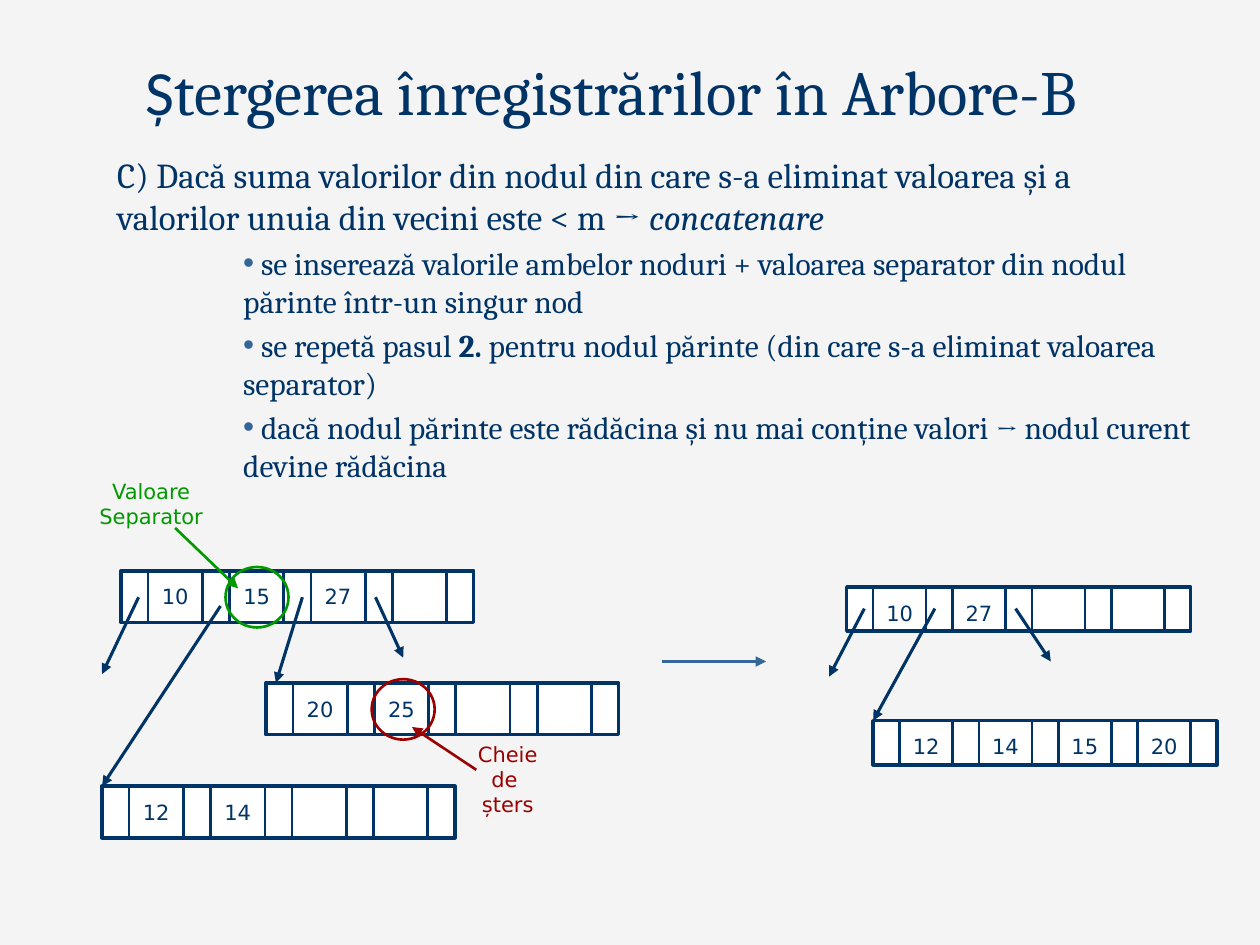
from dataclasses import dataclass, field
from typing import Optional

from lxml import etree
from pptx import Presentation
from pptx.dml.color import RGBColor
from pptx.enum.shapes import MSO_CONNECTOR, MSO_SHAPE
from pptx.enum.text import MSO_ANCHOR, MSO_AUTO_SIZE, PP_ALIGN
from pptx.oxml.ns import qn
from pptx.util import Inches, Pt

RECTANGLE, ELLIPSE = MSO_SHAPE.RECTANGLE, MSO_SHAPE.OVAL
STRAIGHT = MSO_CONNECTOR.STRAIGHT
CENTER = PP_ALIGN.CENTER
TOP, MIDDLE, BOTTOM = MSO_ANCHOR.TOP, MSO_ANCHOR.MIDDLE, MSO_ANCHOR.BOTTOM
NO_FIT = MSO_AUTO_SIZE.NONE

NAVY = RGBColor(0x00, 0x33, 0x66)
BLUE = RGBColor(0x33, 0x66, 0x99)
RED = RGBColor(0x9A, 0x00, 0x00)
GREEN = RGBColor(0x00, 0x99, 0x00)
WHITE = RGBColor(0xFF, 0xFF, 0xFF)
BACKGROUND = RGBColor(0xF4, 0xF4, 0xF4)

SLIDE_WIDTH, SLIDE_HEIGHT = Inches(10), Inches(7.5)
COLUMN, ROW = SLIDE_WIDTH / 100, SLIDE_HEIGHT / 75
NODE_UNITS = 13
KEY_STARTS = (1, 4, 7, 10)
SERIF, SANS = "Cambria", "DejaVu Sans"


@dataclass(frozen=True)
class Node:
    """A tree node: position, size and keys."""
    left: float
    top: float
    width: float
    height: float
    keys: tuple


@dataclass(frozen=True)
class Arrow:
    """An arrow between two grid points."""
    start: tuple
    end: tuple
    color: RGBColor = NAVY
    weight: float = 1.75


@dataclass(frozen=True)
class Callout:
    """A coloured label with the ring it explains."""
    text: str
    box: tuple
    ring: tuple
    color: RGBColor


@dataclass(frozen=True)
class Line:
    """A body paragraph: runs of text with their own format values."""
    runs: tuple
    size: int = 18
    level: int = 3
    margin: float = 1.5
    space: float = 3.6
    bullet: Optional[str] = "•"
    format: dict = field(default_factory=dict)


TITLE_RUNS = (("Ș", {"name": "Calibri"}), ("tergerea înregistrărilor în Arbore-B", {}))
BODY = (
    Line((("C) Dacă suma valorilor din nodul din care s-a eliminat valoarea și a "
           "valorilor unuia din vecini este < m → ", {}), ("concatenare", {"italic": True})),
         size=20, level=1, margin=0.5, space=0, bullet=None),
    Line(((" se inserează valorile ambelor noduri + valoarea separator din nodul "
           "părinte într-un singur nod", {}),)),
    Line(((" se repetă pasul ", {}), ("2.", {"bold": True}),
          (" pentru nodul părinte (din care s-a eliminat valoarea separator)", {}))),
    Line(((" dacă nodul părinte este rădăcina și nu mai conține valori ", {}),
          ("→", {"size": Pt(16)}), (" nodul curent devine rădăcina", {}))),
)
NODES = (
    Node(9.6, 45.3, 28, 4.1, ("10", "15", "27")),
    Node(8.1, 62.4, 28, 4.1, ("12", "14")),
    Node(21.1, 54.2, 28, 4.1, ("20", "25")),
    Node(67.2, 46.6, 27.3, 3.5, ("10", "27")),
    Node(69.3, 57.2, 27.3, 3.5, ("12", "14", "15", "20")),
)
ARROWS = (
    Arrow((11, 47.4), (8.1, 53.5)),
    Arrow((17.5, 48.1), (8.1, 62.4)),
    Arrow((24, 47.4), (21.9, 54.2)),
    Arrow((29.8, 47.4), (32, 52.2)),
    Arrow((68.6, 48.3), (65.8, 53.7)),
    Arrow((74.2, 48.3), (69.3, 57.2)),
    Arrow((80.6, 48.3), (83.4, 52.5)),
    Arrow((52.5, 52.5), (60.8, 52.5), BLUE, 1.5),
    Arrow((37.8, 61.1), (32.7, 57.7), RED, 1.5),
    Arrow((13.9, 41.9), (18.9, 46.7), GREEN, 1.5),
)
CALLOUTS = (
    Callout("Cheie\vde \vșters", (35.6, 58.3, 9.4, 7.1), (29.5, 53.9, 5, 4.8), RED),
    Callout("Valoare\vSeparator", (5.8, 37.4, 12.4, 5.1), (17.9, 45, 5, 4.8), GREEN),
)


def apply(target, values: dict) -> None:
    """Set every attribute named in values."""
    for name, value in values.items():
        setattr(target, name, value)


def grid(left: float, top: float, width: float, height: float) -> tuple:
    """Turn a grid box or a pair of grid points into lengths."""
    return tuple(round(n * step) for n, step in
                 zip((left, top, width, height), (COLUMN, ROW, COLUMN, ROW)))


def place(shape, *box: float) -> None:
    """Move and size a shape on the grid."""
    apply(shape, dict(zip(("left", "top", "width", "height"), grid(*box))))


def add_runs(paragraph, runs: tuple, size: float, color: RGBColor = NAVY, font: str = SERIF) -> None:
    """Add formatted runs to a paragraph."""
    for text, values in runs:
        run = paragraph.add_run()
        run.text = text
        apply(run.font, {"name": font, "size": Pt(size), **values})
        run.font.color.rgb = color


def add_label(shapes, text: str, box: tuple, color: RGBColor = NAVY) -> None:
    """Draw a small centred label, with line breaks at vertical tabs."""
    frame = shapes.add_textbox(*grid(*box)).text_frame
    apply(frame, {"word_wrap": True, "vertical_anchor": MIDDLE, "margin_left": 0, "margin_right": 0})
    paragraph = frame.paragraphs[0]
    paragraph.alignment = CENTER
    for index, part in enumerate(text.split("\v")):
        if index:
            paragraph.add_line_break()
        add_runs(paragraph, ((part, {}),), 12, color, SANS)


def add_outline(shapes, kind, box: tuple, color: RGBColor, weight: float):
    """Draw an unfilled preset shape with a coloured line."""
    shape = shapes.add_shape(kind, *grid(*box))
    shape.shadow.inherit = False
    shape.fill.background()
    shape.line.color.rgb = color
    shape.line.width = Pt(weight)
    return shape


def add_line(shapes, line: Arrow, head: bool = True) -> None:
    """Draw a straight line, with an arrowhead if wanted."""
    connector = shapes.add_connector(STRAIGHT, *grid(*line.start, *line.end))
    connector.line.color.rgb = line.color
    connector.line.width = Pt(line.weight)
    properties = connector.element.spPr
    if head:
        etree.SubElement(properties.find(qn("a:ln")), qn("a:tailEnd"), type="triangle")
    etree.SubElement(properties, qn("a:effectLst"))


def add_node(slide, node: Node) -> None:
    """Draw a node as a group of narrow pointer cells and wide key cells."""
    shapes = slide.shapes.add_group_shape().shapes
    box = (node.left, node.top, node.width, node.height)
    frame = add_outline(shapes, RECTANGLE, box, NAVY, 2)
    frame.fill.solid()
    frame.fill.fore_color.rgb = WHITE
    unit = node.width / NODE_UNITS
    for key, start in zip(node.keys, KEY_STARTS):
        add_label(shapes, key, (node.left + start * unit, node.top + 0.55, 2 * unit, 3))
    for start in KEY_STARTS:
        for edge in (start, start + 2):
            x = node.left + edge * unit
            add_line(shapes, Arrow((x, node.top), (x, node.top + node.height), weight=1.5), head=False)


def fill_title(title) -> None:
    """Place and write the title."""
    place(title, 6.5, 3.6, 84, 7.1)
    apply(title.text_frame, {"vertical_anchor": BOTTOM, "auto_size": NO_FIT, "word_wrap": True})
    paragraph = title.text_frame.paragraphs[0]
    paragraph.alignment = CENTER
    add_runs(paragraph, TITLE_RUNS, 36)


def fill_body(body) -> None:
    """Place and write the body list."""
    place(body, 3.3, 11.7, 92.5, 21.7)
    frame = body.text_frame
    apply(frame, {"vertical_anchor": TOP, "auto_size": NO_FIT, "word_wrap": True})
    for index, line in enumerate(BODY):
        paragraph = frame.add_paragraph() if index else frame.paragraphs[0]
        apply(paragraph, {"level": line.level, "space_before": Pt(line.space)})
        properties = paragraph._p.get_or_add_pPr()
        properties.set("marL", str(Inches(line.margin)))
        properties.set("indent", "0")
        if line.bullet:
            color = etree.SubElement(properties, qn("a:buClr"))
            etree.SubElement(color, qn("a:srgbClr"), val=str(BLUE))
            etree.SubElement(properties, qn("a:buChar"), char=line.bullet)
        else:
            etree.SubElement(properties, qn("a:buNone"))
        add_runs(paragraph, line.runs, line.size)


def main() -> None:
    """Build the slide and save it."""
    presentation = Presentation()
    apply(presentation, {"slide_width": SLIDE_WIDTH, "slide_height": SLIDE_HEIGHT})
    slide = presentation.slides.add_slide(presentation.slide_layouts[1])
    slide.background.fill.solid()
    slide.background.fill.fore_color.rgb = BACKGROUND
    fill_title(slide.shapes.title)
    fill_body(slide.placeholders[1])
    for node in NODES:
        add_node(slide, node)
    for callout in CALLOUTS:
        add_outline(slide.shapes, ELLIPSE, callout.ring, callout.color, 1.5)
        add_label(slide.shapes, callout.text, callout.box, callout.color)
    for arrow in ARROWS:
        add_line(slide.shapes, arrow)
    presentation.save("out.pptx")


if __name__ == "__main__":
    main()
